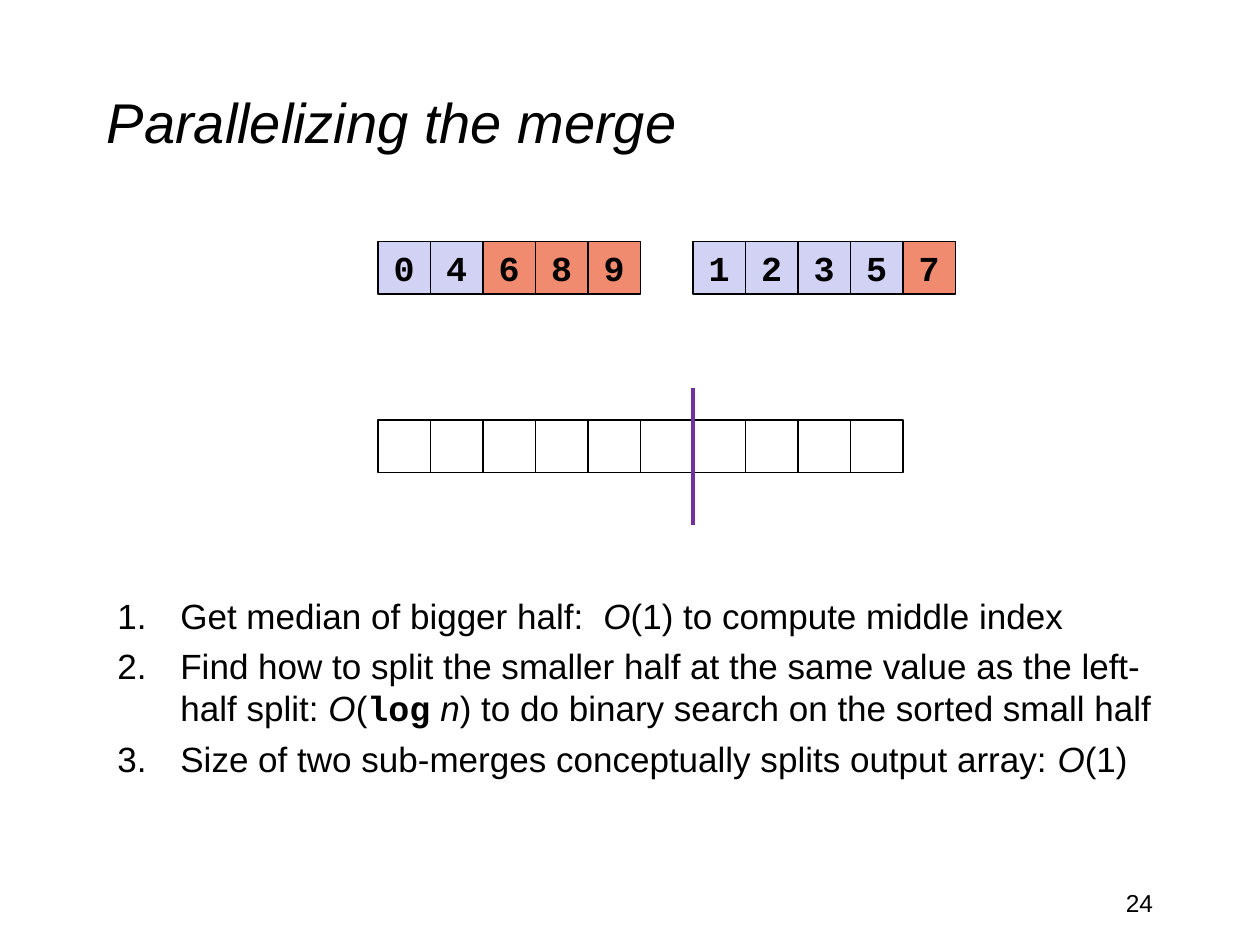
"""Build the slide on parallelizing the merge step."""
from dataclasses import dataclass

from lxml import etree
from pptx import Presentation
from pptx.dml.color import RGBColor
from pptx.enum.shapes import MSO_CONNECTOR, MSO_SHAPE
from pptx.enum.text import MSO_ANCHOR, PP_ALIGN
from pptx.oxml.ns import qn
from pptx.slide import Slide
from pptx.text.text import TextFrame, _Paragraph
from pptx.util import Pt

RECT = MSO_SHAPE.RECTANGLE
STRAIGHT = MSO_CONNECTOR.STRAIGHT
MIDDLE, TOP = MSO_ANCHOR.MIDDLE, MSO_ANCHOR.TOP
LEFT, CENTER, RIGHT = PP_ALIGN.LEFT, PP_ALIGN.CENTER, PP_ALIGN.RIGHT

SANS, MONO = "Arial", "Courier New"
BLACK, LOW, HIGH, SPLIT = "000000", "D2D2F4", "F18B6F", "7030A0"
CELL = 30
GRID = 216


@dataclass
class Run:
    text: str
    size: float = 20
    font: str = SANS
    bold: bool = False
    italic: bool = False


@dataclass
class Row:
    col: int
    top: float
    items: str
    cut: int


ROWS = [
    Row(0, 138, "04689", 2),
    Row(6, 138, "12357", 4),
    Row(0, 240, " " * 10, 0),
]
BIG_O = Run("O", italic=True)
STEPS = [
    [Run("Get median of bigger half:  "), BIG_O, Run("(1) to compute middle index")],
    [
        Run("Find how to split the smaller half at the same value as the left-half split: "),
        BIG_O,
        Run("("),
        Run("log", font=MONO, bold=True),
        Run(" n", italic=True),
        Run(") to do binary search on the sorted small half"),
    ],
    [Run("Size of two sub-merges conceptually splits output array: "), BIG_O, Run("(1)")],
]


def color(code: str) -> RGBColor:
    """Turn a hex string into a colour."""
    return RGBColor.from_string(code)


def write(para: _Paragraph, runs: list[Run], align: PP_ALIGN = LEFT) -> None:
    """Add the runs to a paragraph."""
    para.alignment = align
    for item in runs:
        run = para.add_run()
        run.text = item.text
        font = run.font
        font.name, font.size = item.font, Pt(item.size)
        font.bold, font.italic = item.bold, item.italic
        font.color.rgb = color(BLACK)


def add_box(slide: Slide, left: float, top: float, width: float, height: float,
            anchor: MSO_ANCHOR = TOP) -> TextFrame:
    """Add a wrapping text box and return its frame."""
    frame = slide.shapes.add_textbox(Pt(left), Pt(top), Pt(width), Pt(height)).text_frame
    frame.word_wrap = True
    frame.vertical_anchor = anchor
    return frame


def add_row(slide: Slide, row: Row) -> None:
    """Draw one array, with filled cells where it holds values."""
    for step, item in enumerate(row.items):
        left = GRID + (row.col + step) * CELL
        cell = slide.shapes.add_shape(RECT, Pt(left), Pt(row.top), Pt(CELL), Pt(CELL))
        cell.shadow.inherit = False
        cell.line.color.rgb = color(BLACK)
        cell.line.width = Pt(0.75)
        if item == " ":
            cell.fill.background()
            continue
        cell.fill.solid()
        cell.fill.fore_color.rgb = color(LOW if step < row.cut else HIGH)
        frame = cell.text_frame
        frame.word_wrap = False
        frame.vertical_anchor = MIDDLE
        write(frame.paragraphs[0], [Run(item, font=MONO, bold=True)], CENTER)


def add_split(slide: Slide, left: float, top: float, end: float) -> None:
    """Draw the vertical line that splits the output array."""
    line = slide.shapes.add_connector(STRAIGHT, Pt(left), Pt(top), Pt(left), Pt(end))
    line.line.color.rgb = color(SPLIT)
    line.line.width = Pt(2.25)
    etree.SubElement(line._element.spPr, qn("a:effectLst"))


def add_steps(slide: Slide) -> None:
    """Write the numbered steps."""
    frame = add_box(slide, 60, 336, 618, 138)
    for count, runs in enumerate(STEPS):
        para = frame.add_paragraph() if count else frame.paragraphs[0]
        write(para, runs)
        para.space_before = Pt(5)
        props = para._p.get_or_add_pPr()
        props.set("marL", str(Pt(36)))
        props.set("indent", str(-Pt(36)))
        etree.SubElement(props, qn("a:buFont"), typeface=SANS)
        etree.SubElement(props, qn("a:buAutoNum"), type="arabicPeriod")


def main() -> None:
    """Build and save the slide."""
    deck = Presentation()
    deck.slide_width, deck.slide_height = Pt(720), Pt(540)
    slide = deck.slides.add_slide(deck.slide_layouts[6])
    title = add_box(slide, 54, 24, 612, 90, MIDDLE)
    write(title.paragraphs[0], [Run("Parallelizing the merge", 32, italic=True)])
    number = add_box(slide, 516, 504, 150, 36)
    write(number.paragraphs[0], [Run("24", 14)], RIGHT)
    for row in ROWS:
        add_row(slide, row)
    add_steps(slide)
    add_split(slide, GRID + 6 * CELL, 222, 300)
    deck.save("out.pptx")


if __name__ == "__main__":
    main()
